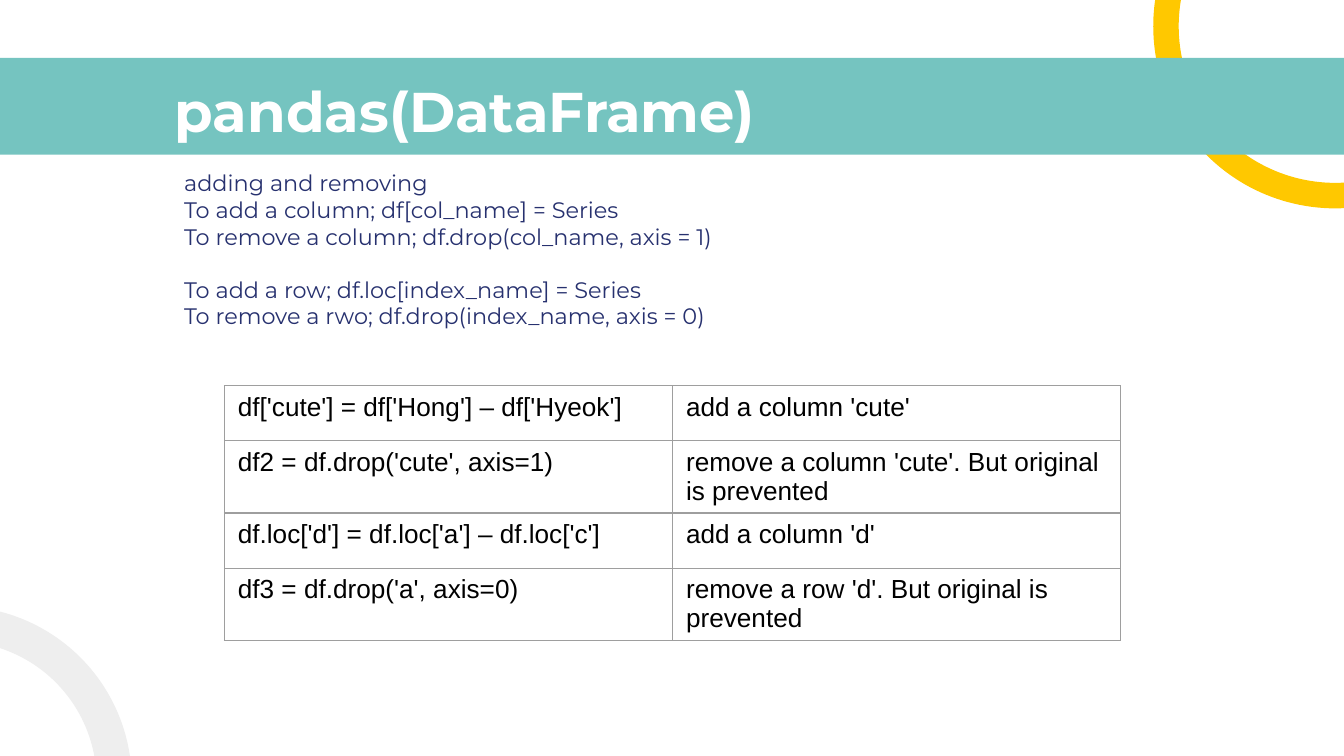
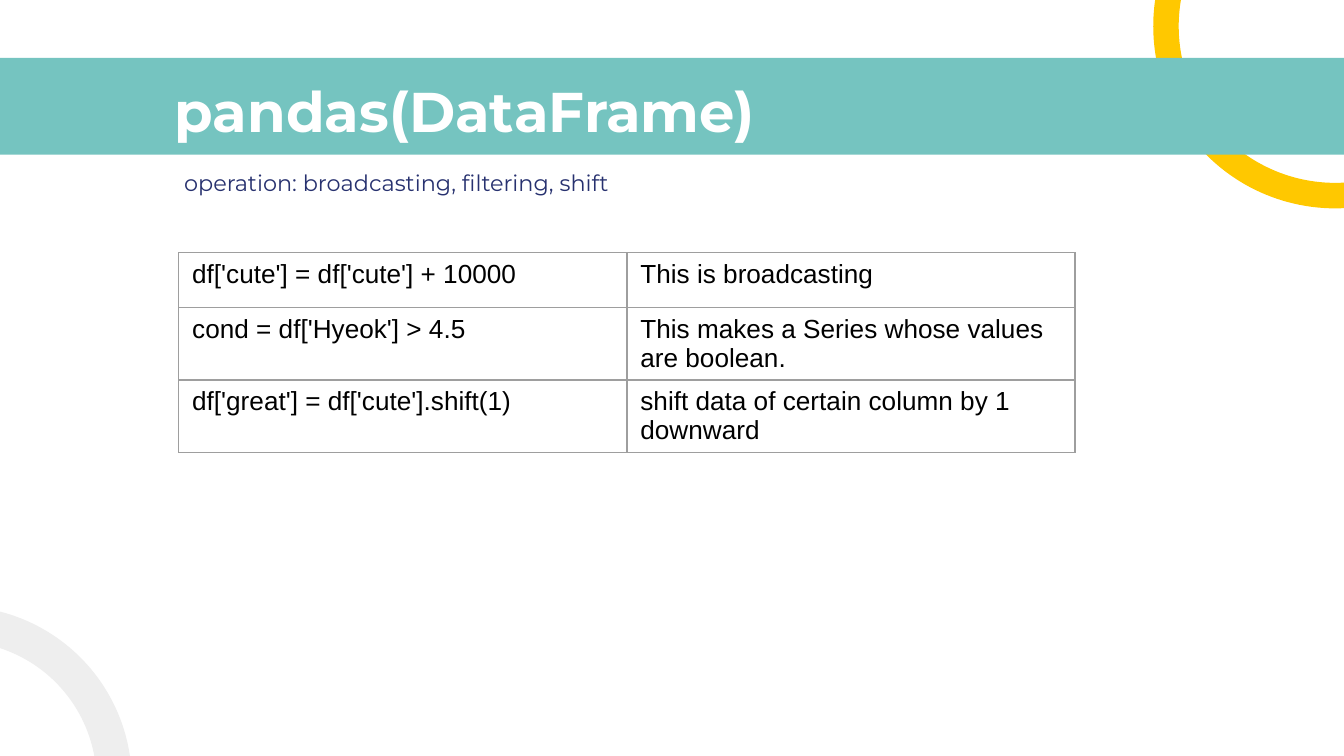
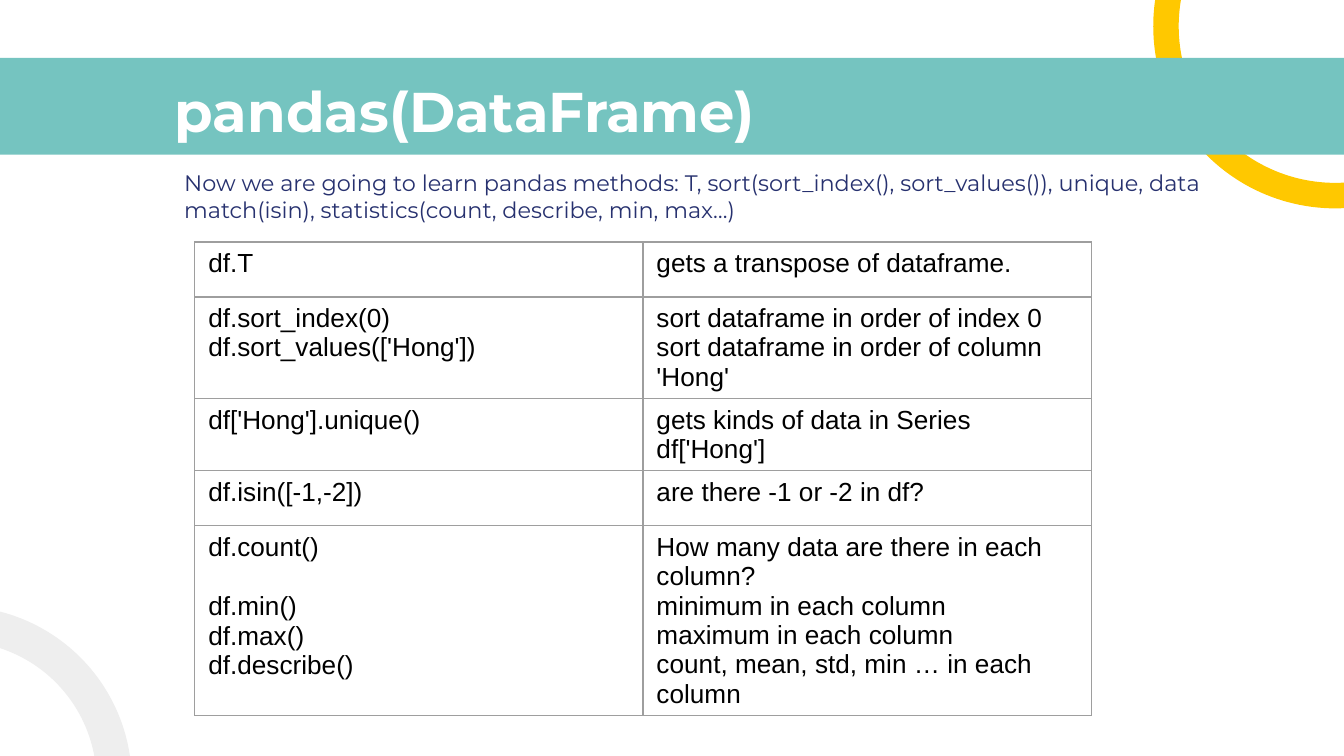
"""Build three slides about adding, operating on and inspecting pandas DataFrames."""

import pptx
import pptx.dml.color
import pptx.enum.shapes
import pptx.enum.text
import pptx.oxml
import pptx.oxml.ns
import pptx.util

Inches = pptx.util.Inches
Pt = pptx.util.Pt
RGBColor = pptx.dml.color.RGBColor
Shape = pptx.enum.shapes.MSO_SHAPE

YELLOW = RGBColor(0xFF, 0xC8, 0x00)
TEAL = RGBColor(0x75, 0xC4, 0xC0)
PALE_GREY = RGBColor(0xEE, 0xEE, 0xEE)
BORDER_GREY = RGBColor(0x9E, 0x9E, 0x9E)
NAVY = RGBColor(0x27, 0x31, 0x6F)
WHITE = RGBColor(0xFF, 0xFF, 0xFF)
BLACK = RGBColor(0x00, 0x00, 0x00)

TITLE = "pandas(DataFrame)"
TABLE_WIDTH = 6.67
ROW_HEIGHT = 0.41

DECORATIONS = [
    (Shape.BLOCK_ARC, (8.58, -1.16, 2.71, 2.71), 180, (159.04, 7.22, 0.07), YELLOW),
    (Shape.RECTANGLE, (-0.17, 0.43, 10.34, 0.72), 0, (), TEAL),
    (Shape.BLOCK_ARC, (-1.63, 4.51, 2.61, 2.61), 74.3, (125.82, 166.85, 0.1), PALE_GREY),
]

SLIDES = [
    {
        "body": [
            "adding and removing",
            "To add a column; df[col_name] = Series",
            "To remove a column; df.drop(col_name, axis = 1)",
            "",
            "To add a row; df.loc[index_name] = Series",
            "To remove a rwo; df.drop(index_name, axis = 0)",
        ],
        "table_at": (1.67, 2.87),
        "rows": [
            (["df['cute'] = df['Hong'] – df['Hyeok']"], ["add a column 'cute'"]),
            (["df2 = df.drop('cute', axis=1)"],
             ["remove a column 'cute'. But original is prevented"]),
            (["df.loc['d'] = df.loc['a'] – df.loc['c']"], ["add a column 'd'"]),
            (["df3 = df.drop('a', axis=0)"],
             ["remove a row 'd'. But original is prevented"]),
        ],
    },
    {
        "body": ["operation: broadcasting, filtering, shift"],
        "table_at": (1.33, 1.88),
        "rows": [
            (["df['cute'] = df['cute'] + 10000"], ["This is broadcasting"]),
            (["cond = df['Hyeok'] > 4.5"],
             ["This makes a Series whose values are boolean."]),
            (["df['great'] = df['cute'].shift(1)"],
             ["shift data of certain column by 1 downward"]),
        ],
    },
    {
        "body": [
            "Now we are going to learn pandas methods: T, sort(sort_index(), "
            "sort_values()), unique, data match(isin), statistics(count, "
            "describe, min, max…)"
        ],
        "table_at": (1.45, 1.8),
        "rows": [
            (["df.T"], ["gets a transpose of dataframe."]),
            (["df.sort_index(0)", "df.sort_values(['Hong'])"],
             ["sort dataframe in order of index 0",
              "sort dataframe in order of column 'Hong'"]),
            (["df['Hong'].unique()"], ["gets kinds of data in Series df['Hong']"]),
            (["df.isin([-1,-2])"], ["are there -1 or -2 in df?"]),
            (["df.count()", "", "df.min()", "df.max()", "df.describe()"],
             ["How many data are there in each column?",
              "minimum in each column",
              "maximum in each column",
              "count, mean, std, min … in each column"]),
        ],
    },
]


def write_lines(text_frame, lines, font_name, size, color, bold=False, indent=0):
    """Write one paragraph per line; an empty line becomes space before the next."""
    paragraph = None
    gap = 0
    for line in lines:
        if not line:
            gap = size * 1.15
            continue
        paragraph = text_frame.add_paragraph() if paragraph else text_frame.paragraphs[0]
        paragraph.alignment = pptx.enum.text.PP_ALIGN.LEFT
        paragraph.space_before = Pt(gap)
        properties = paragraph._p.get_or_add_pPr()
        properties.set("marL", str(Inches(indent)))
        properties.set("indent", "0")
        run = paragraph.add_run()
        run.text = line
        run.font.name = font_name
        run.font.size = Pt(size)
        run.font.bold = bold
        run.font.color.rgb = color
        gap = 0


def place_placeholder(placeholder, left, top, width, height):
    """Move a placeholder and give it top-anchored text with even insets."""
    placeholder.left, placeholder.top = Inches(left), Inches(top)
    placeholder.width, placeholder.height = Inches(width), Inches(height)
    frame = placeholder.text_frame
    frame.word_wrap = True
    frame.auto_size = pptx.enum.text.MSO_AUTO_SIZE.NONE
    frame.vertical_anchor = pptx.enum.text.MSO_ANCHOR.TOP
    frame.margin_left = frame.margin_right = Inches(0.1)
    frame.margin_top = frame.margin_bottom = Inches(0.1)
    return frame


presentation = pptx.Presentation()
presentation.slide_width = Inches(10)
presentation.slide_height = Inches(10 * 9 / 16)
master = presentation.slide_master
master.background.fill.solid()
master.background.fill.fore_color.rgb = WHITE

for number, content in enumerate(SLIDES):
    slide = presentation.slides.add_slide(presentation.slide_layouts[0])

    if number == 0:
        for order, (kind, box, rotation, arc, color) in enumerate(DECORATIONS):
            shape = slide.shapes.add_shape(kind, *map(Inches, box))
            shape.rotation = rotation
            shape.shadow.inherit = False
            shape.fill.solid()
            shape.fill.fore_color.rgb = color
            shape.line.fill.background()
            for index, value in enumerate(arc):
                shape.adjustments[index] = value
            shape._element.nvSpPr.cNvPr.set("id", str(101 + order))
            master.shapes._spTree.insert(2 + order, shape._element)

    title_frame = place_placeholder(slide.shapes.title, 1.2, 0.47, 8.46, 0.63)
    write_lines(title_frame, [TITLE], "Montserrat", 30, WHITE, bold=True)
    body_frame = place_placeholder(slide.placeholders[1], 0.77, 1.16, 8.46, 1.66)
    write_lines(body_frame, content["body"], "Montserrat", 12, NAVY, indent=0.5)

    rows = content["rows"]
    left, top = content["table_at"]
    table = slide.shapes.add_table(
        len(rows), 2, Inches(left), Inches(top),
        Inches(TABLE_WIDTH), Inches(len(rows) * ROW_HEIGHT),
    ).table
    table.first_row = False
    table.horz_banding = False
    for row_index, row in enumerate(rows):
        for column_index, lines in enumerate(row):
            cell = table.cell(row_index, column_index)
            cell.fill.background()
            write_lines(cell.text_frame, lines, "Arial", 14, BLACK)
            for position, side in enumerate(("lnL", "lnR", "lnT", "lnB")):
                border = pptx.oxml.parse_xml(
                    f'<a:{side} {pptx.oxml.ns.nsdecls("a")} w="{Pt(0.75)}"><a:solidFill>'
                    f'<a:srgbClr val="{BORDER_GREY}"/></a:solidFill></a:{side}>'
                )
                cell._tc.get_or_add_tcPr().insert(position, border)

presentation.save("out.pptx")
